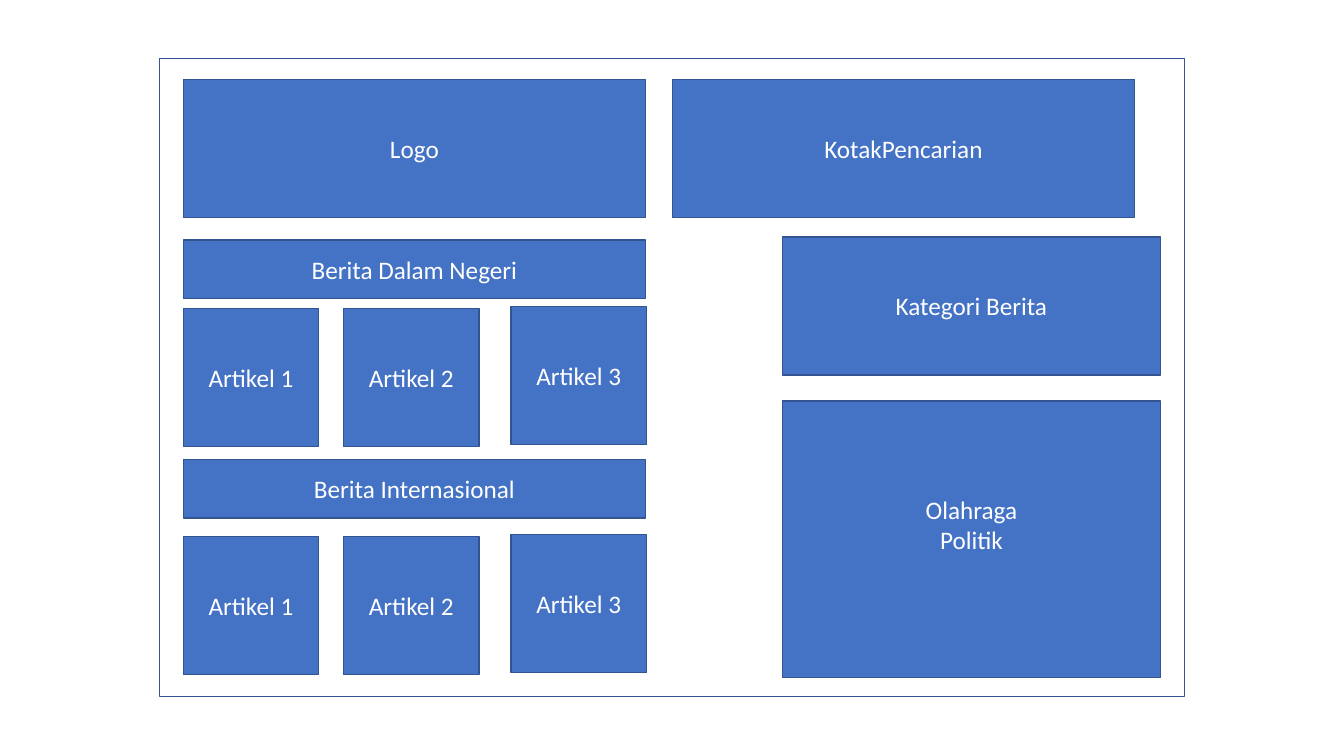
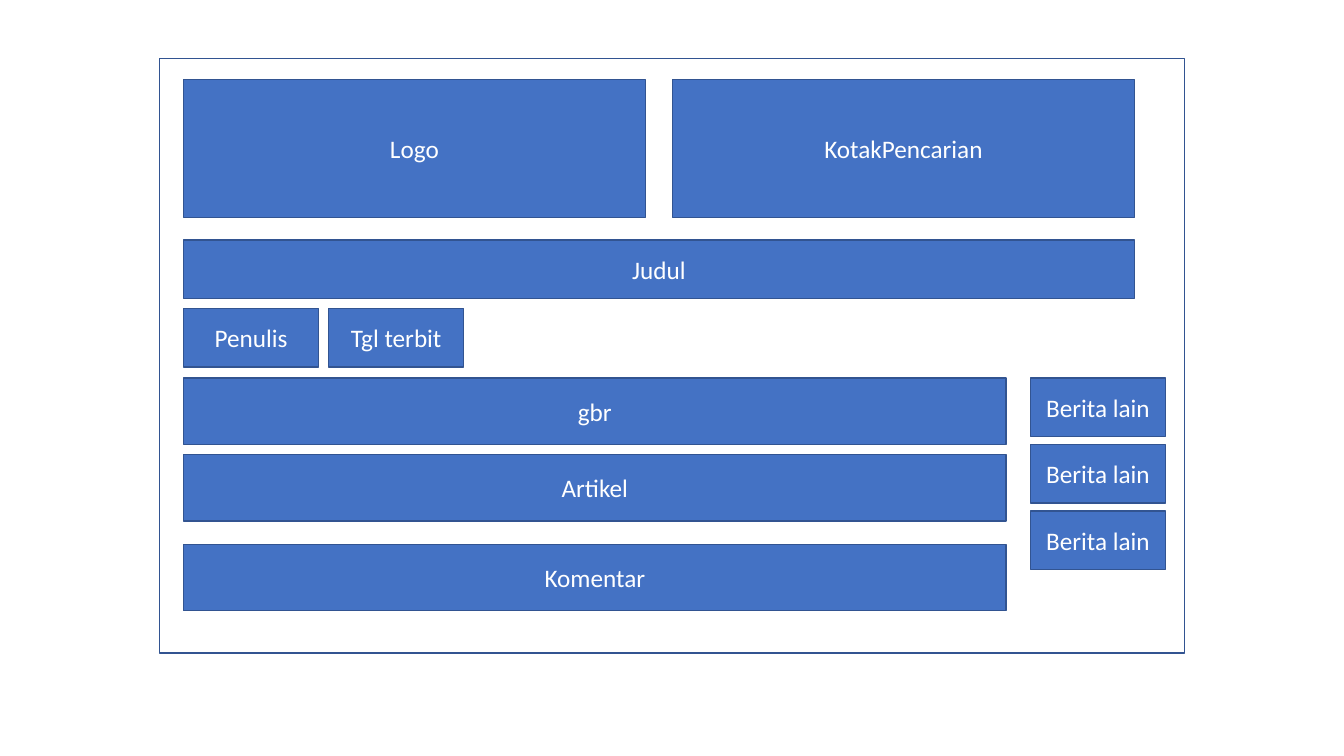
from pptx import Presentation
from pptx import util as u
from pptx.dml.color import RGBColor
from pptx.enum import shapes, text

BLUE, EDGE, WHITE = "4472C4", "325491", "FFFFFF"
FONT, SIZE = "Calibri", 18
LEFT, TOP = 1.58, 0.58
PAGE_W, MARGIN = 10.17, 0.24
BLOCK_W, BLOCK_H = 4.58, 1.37
SMALL_W, BAR_H, WIDE_H = 1.34, 0.58, 0.66


def color(value):
    """Turn a hex string into a colour."""
    return RGBColor.from_string(value)


def add_box(slide, box, lines=(), fill=BLUE, bottom=0.05):
    """Draw an outlined rectangle with one centred paragraph per line."""
    sp = slide.shapes.add_shape(shapes.MSO_SHAPE.RECTANGLE, *map(u.Inches, box))
    sp.shadow.inherit = False
    sp.fill.solid()
    sp.fill.fore_color.rgb = color(fill)
    sp.line.color.rgb = color(EDGE)
    sp.line.width = u.Pt(1)
    tf = sp.text_frame
    tf.word_wrap = True
    tf.vertical_anchor = text.MSO_ANCHOR.MIDDLE
    tf.margin_bottom = u.Inches(bottom)
    for i, line in enumerate(lines):
        p = tf.add_paragraph() if i else tf.paragraphs[0]
        p.alignment = text.PP_ALIGN.CENTER
        r = p.add_run()
        r.text = line
        r.font.name = FONT
        r.font.size = u.Pt(SIZE)
        r.font.color.rgb = color(WHITE)


def add_page(prs, height):
    """Add a slide with the page frame and its header blocks."""
    slide = prs.slides.add_slide(prs.slide_layouts[6])
    add_box(slide, (LEFT, TOP, PAGE_W, height), fill=WHITE)
    for i, label in enumerate(("Logo", "KotakPencarian")):
        x = LEFT + MARGIN + i * (BLOCK_W + 0.27)
        add_box(slide, (x, TOP + 0.21, BLOCK_W, BLOCK_H), [label])
    return slide


def add_news(slide, box, title):
    """Place a heading bar above three article cards."""
    x, y, w, h = box
    add_box(slide, (x, y, w, BAR_H), [title])
    card_y = y + h - BLOCK_H
    offsets = ((0, 0), (1.59, 0), (w - SMALL_W + 0.01, -0.02))
    for i, (dx, dy) in enumerate(offsets, 1):
        add_box(slide, (x + dx, card_y + dy, SMALL_W, BLOCK_H), [f"Artikel {i}"])


def add_categories(slide, box):
    """Place the category heading above the category list."""
    x, y, w, h = box
    list_h = 2 * BLOCK_H
    add_box(slide, (x, y, w, BLOCK_H), ["Kategori Berita"])
    add_box(slide, (x, y + h - list_h, w, list_h), ["Olahraga", "Politik"], bottom=0.35)


def add_article(slide, box):
    """Place the title, the byline and the stacked body of an article."""
    x, y, w, h = box
    add_box(slide, (x, y, w, BAR_H), ["Judul"])
    for i, label in enumerate(("Penulis", "Tgl terbit")):
        add_box(slide, (x + i * (SMALL_W + 0.1), y + 0.68, SMALL_W, BAR_H), [label])
    body = (("gbr", 1.37), ("Artikel", 2.13), ("Komentar", h - WIDE_H))
    for label, dy in body:
        add_box(slide, (x, y + dy, w - 1.27, WIDE_H), [label])


def add_other_news(slide, box, count=3):
    """Stack equal boxes for other news down a column."""
    x, y, w, h = box
    step = (h - BAR_H) / (count - 1)
    for i in range(count):
        add_box(slide, (x, y + i * step, w, BAR_H), ["Berita lain"])


def build_home(prs):
    """Build the layout of the front page."""
    slide = add_page(prs, 6.33)
    x = LEFT + MARGIN
    add_news(slide, (x, 2.38, BLOCK_W, 2.05), "Berita Dalam Negeri")
    add_news(slide, (x, 4.56, BLOCK_W, 2.13), "Berita Internasional")
    add_categories(slide, (7.76, 2.35, 3.75, 4.37))


def build_detail(prs):
    """Build the layout of the article page."""
    slide = add_page(prs, 5.9)
    add_article(slide, (LEFT + MARGIN, 2.38, 9.43, 3.68))
    add_other_news(slide, (10.22, 3.75, SMALL_W, 1.9))


def main():
    """Build and save the presentation."""
    prs = Presentation()
    prs.slide_width, prs.slide_height = u.Inches(13.33), u.Inches(7.5)
    build_home(prs)
    build_detail(prs)
    prs.save("out.pptx")


if __name__ == "__main__":
    main()
